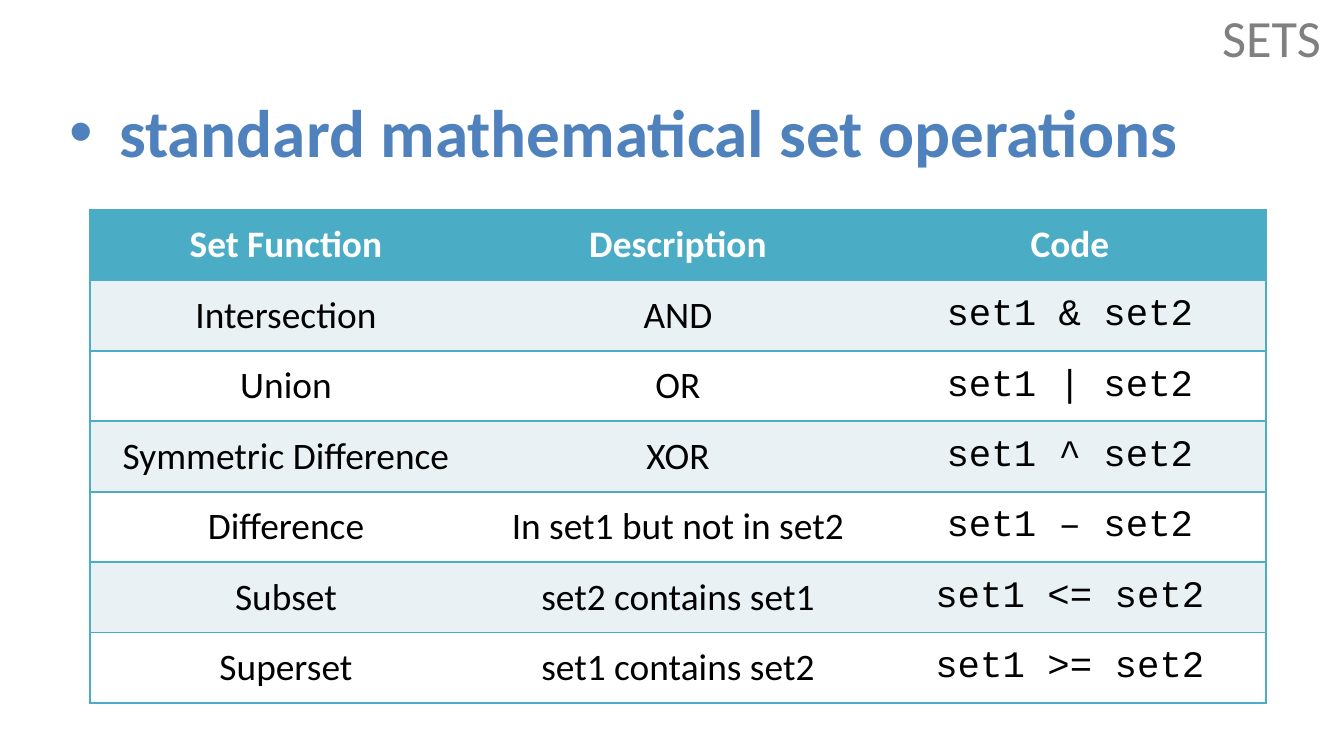
from lxml.etree import SubElement
from pptx import Presentation
from pptx.dml.color import RGBColor
from pptx.enum.text import MSO_ANCHOR as Anchor, PP_ALIGN as Align
from pptx.oxml.ns import qn
from pptx.util import Pt

EMU_PER_PX = 914400 / 134.4
SANS, MONO = "Calibri", "Courier New"
TEAL, BLUE, GRAY, PALE, WHITE, BLACK = (
    "4BACC6", "4F81BD", "808080", "E9F1F5", "FFFFFF", "000000")
NO_STYLE = "{2D5ABB26-0587-4C30-8999-92F81FD0307C}"

TITLE = "SETS"
HEADING = "standard mathematical set operations"
HEADER = ("Set Function", "Description", "Code")
OPERATIONS = [
    ("Intersection", "AND", "set1 & set2"),
    ("Union", "OR", "set1 | set2"),
    ("Symmetric Difference", "XOR", "set1 ^ set2"),
    ("Difference", "In set1 but not in set2", "set1 – set2"),
    ("Subset", "set2 contains set1", "set1 <= set2"),
    ("Superset", "set1 contains set2", "set1 >= set2"),
]


def px(length):
    return round(length * EMU_PER_PX)


def rgb(color):
    return RGBColor.from_string(color)


def add_span(para, text, size, color, font=SANS, bold=False):
    span = para.add_run()
    span.text = text
    span.font.size = Pt(size)
    span.font.name = font
    span.font.bold = bold
    span.font.color.rgb = rgb(color)


def add_box(page, left, top, width, height, anchor):
    frame = page.shapes.add_textbox(
        px(left), px(top), px(width), px(height)).text_frame
    frame.word_wrap = True
    frame.vertical_anchor = anchor
    return frame.paragraphs[0]


def add_bullet(para, indent):
    props = para._p.get_or_add_pPr()
    props.set("marL", str(px(indent)))
    props.set("indent", str(-px(indent)))
    SubElement(props, qn("a:buFont"), typeface="Arial")
    SubElement(props, qn("a:buChar"), char="•")


def add_borders(cell, sides):
    props = cell._tc.get_or_add_tcPr()
    for side in sides:
        line = SubElement(props, qn(f"a:ln{side}"), w=str(Pt(1)))
        fill = SubElement(line, qn("a:solidFill"))
        SubElement(fill, qn("a:srgbClr"), val=TEAL)


def add_operations_table(page, left, top, width, height):
    rows = [HEADER, *OPERATIONS]
    last = len(HEADER) - 1
    table = page.shapes.add_table(
        len(rows), len(HEADER), px(left), px(top), px(width), px(height)).table
    table._tbl.tblPr.find(qn("a:tableStyleId")).text = NO_STYLE
    for r, texts in enumerate(rows):
        is_header = r == 0
        fill = TEAL if is_header else PALE if r % 2 else WHITE
        for c, text in enumerate(texts):
            cell = table.cell(r, c)
            outer = {0: "L", last: "R"}.get(c, "")
            add_borders(cell, outer + "TB")
            cell.fill.solid()
            cell.fill.fore_color.rgb = rgb(fill)
            cell.vertical_anchor = Anchor.MIDDLE
            para = cell.text_frame.paragraphs[0]
            para.alignment = Align.CENTER
            add_span(para, text, 20, WHITE if is_header else BLACK,
                     MONO if c == last and not is_header else SANS, is_header)


def main():
    deck = Presentation()
    deck.slide_width, deck.slide_height = px(1344), px(756)
    page = deck.slides.add_slide(deck.slide_layouts[6])

    heading = add_box(page, 56, 84, 1210, 114, Anchor.TOP)
    add_bullet(heading, 50)
    add_span(heading, HEADING, 36, BLUE, bold=True)

    title = add_box(page, 1199, -2, 145, 78, Anchor.MIDDLE)
    title.alignment = Align.CENTER
    add_span(title, TITLE, 28, GRAY)

    add_operations_table(page, 90, 210, 1176, 493)
    deck.save("out.pptx")


if __name__ == "__main__":
    main()
